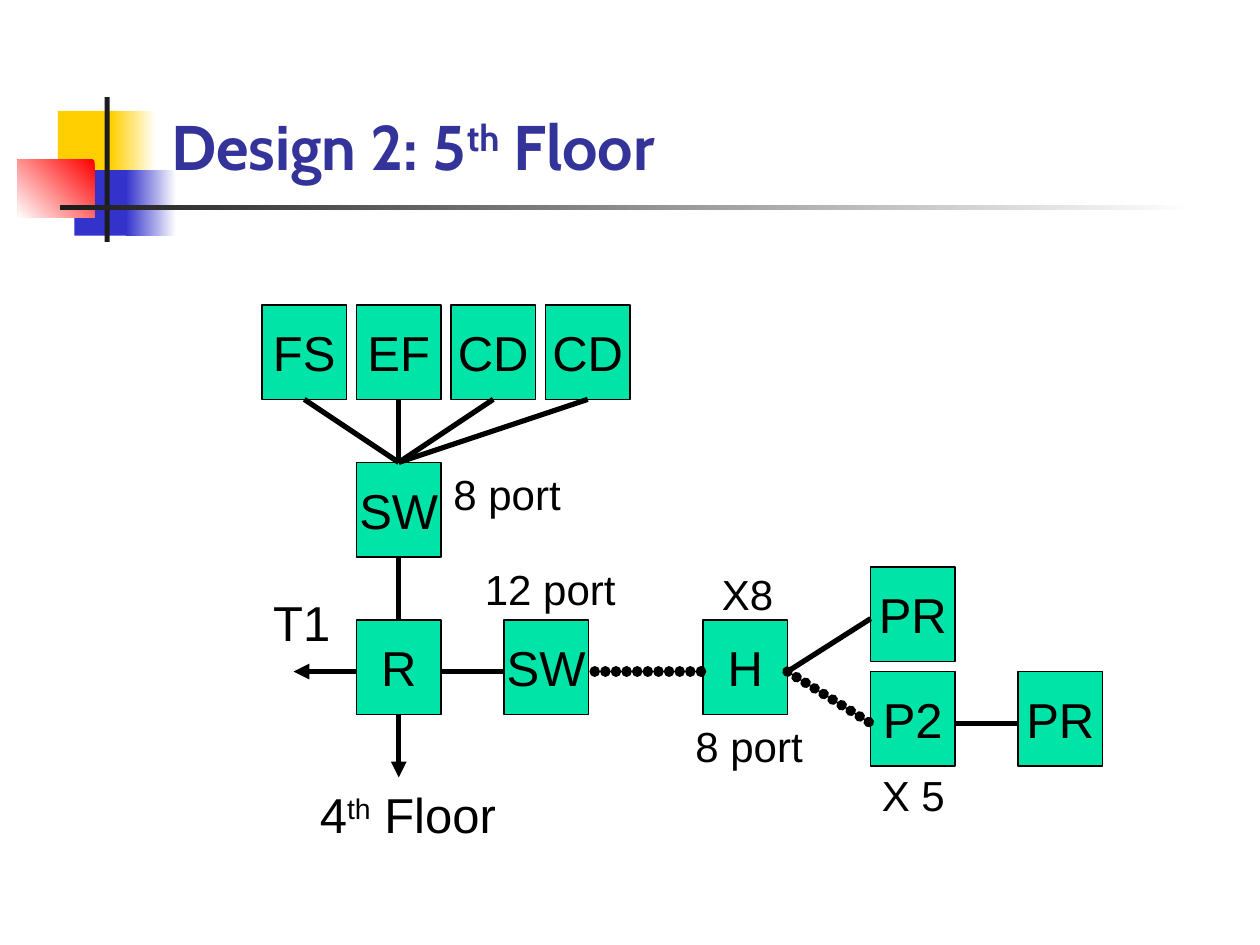
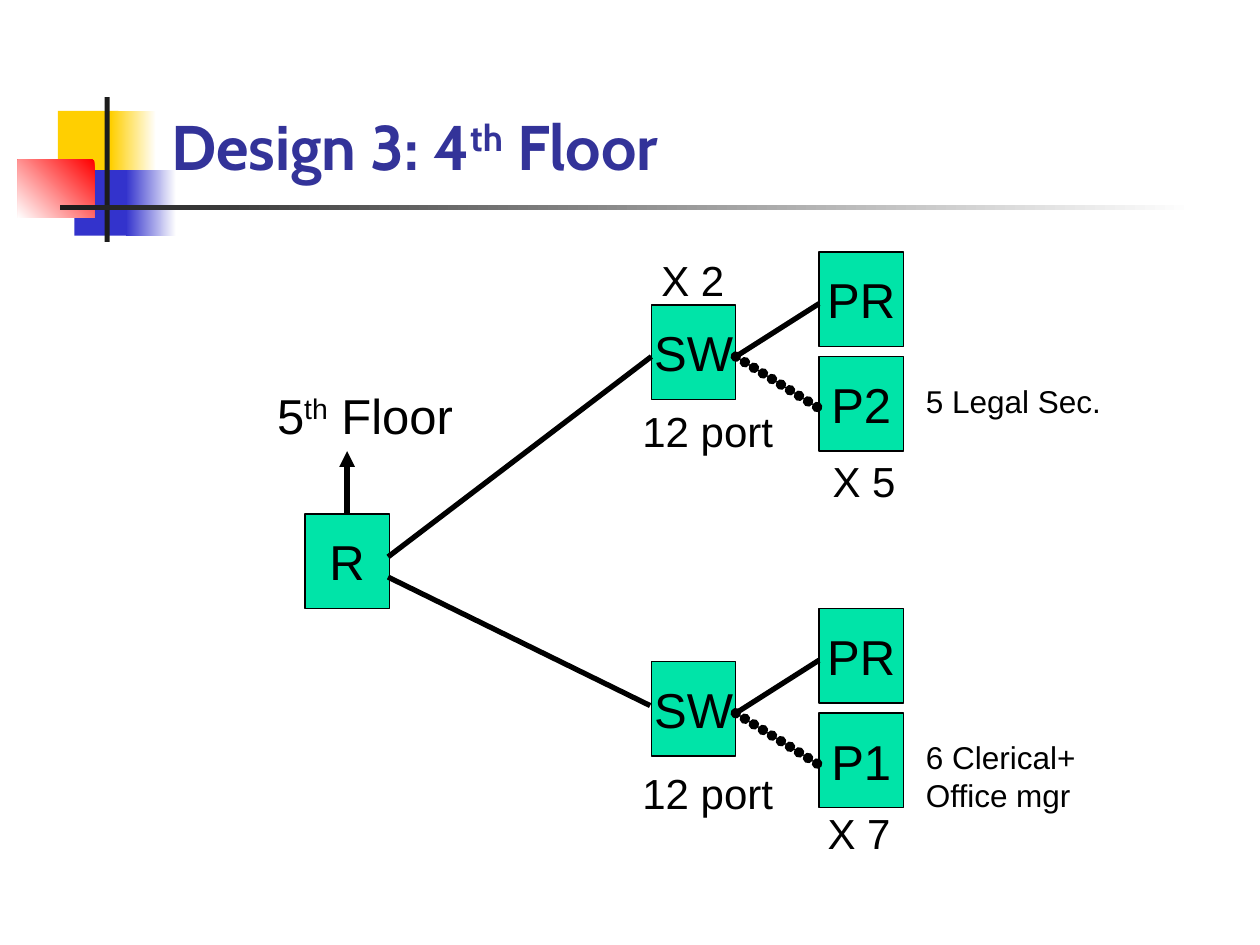
import pptx
import pptx.dml.color
import pptx.enum.shapes
import pptx.enum.text
import pptx.oxml.ns
import pptx.util
from lxml import etree

Inches = pptx.util.Inches
Pt = pptx.util.Pt

FONT = "Arial"
TITLE_FONT = "Cabin"
BLACK, WHITE, GREEN, TITLE_BLUE = "000000", "FFFFFF", "00E4A8", "333399"
YELLOW, BLUE, RED, DARK = "FFCF01", "3333CC", "FF0000", "1C1C1C"

DECORATION = [
    (0.46, 0.88, 0.48, 0.52, [YELLOW], 0),
    (0.88, 0.88, 0.36, 0.52, [WHITE, YELLOW], 180),
    (0.59, 1.35, 0.46, 0.52, [BLUE], 0),
    (1, 1.35, 0.4, 0.52, [WHITE, BLUE], 180),
    (0.14, 1.27, 0.61, 0.46, [RED, WHITE], 225),
    (0.83, 0.77, 0.04, 1.15, [DARK], 0),
    (0.48, 1.63, 9, 0.04, [WHITE, DARK], 180),
]

NODE_WIDTH, NODE_HEIGHT = 0.67, 0.75
SIDE_PORT = 0.41
SERVER_STEP = 0.75
BRANCH_RIGHT, PRINTER_RISE, PC_DROP = 1.33, 0.42, 0.41
ARROW_LENGTH = 0.5
DIRECTIONS = {"left": (-1, 0), "top": (0, -1), "bottom": (0, 1)}

FLOORS = [
    {
        "title": ["Design 2: 5", "th", " Floor"],
        "servers": (["FS", "EF", "CD", "CD"], 2.08, 2.42, "server switch"),
        "nodes": {
            "router": ("R", 2.83, 4.92),
            "server switch": ("SW", 2.83, 3.67),
            "floor switch": ("SW", 4, 4.92),
            "far printer": ("PR", 8.08, 5.33),
        },
        "branches": [("hub", "H", 5.58, 4.92, "P2")],
        "arrows": ["bottom", "left"],
        "links": [
            (("server switch", "bottom"), ("router", "top"), "solid"),
            (("floor switch", "left"), ("router", "right"), "solid"),
            ((4.72, 5.33), ("hub", "left"), "dotted"),
            (("far printer", "left"), ("hub PC", "right"), "solid"),
        ],
        "labels": [
            ([["4", "th", " Floor"]], 28, 2.44, 6.18, 1.65),
            ([["T1"]], 28, 2.07, 4.65, 0.65),
            ([["X 5"]], 24, 6.9, 6.06, 0.7),
            ([["8 port"]], 24, 5.42, 5.67, 1.05),
            ([["12 port"]], 24, 3.75, 4.42, 1.24),
            ([["8 port"]], 24, 3.5, 3.67, 1.05),
            ([["X8"]], 24, 5.63, 4.46, 0.61),
        ],
    },
    {
        "title": ["Design 3: 4", "th", " Floor"],
        "servers": ([], 0, 0, None),
        "nodes": {"router": ("R", 2.42, 4.08)},
        "branches": [
            ("legal", "SW", 5.17, 2.42, "P2"),
            ("clerical", "SW", 5.17, 5.25, "P1"),
        ],
        "arrows": ["top"],
        "links": [
            ((3.08, 4.42), ("legal", "left"), "solid"),
            ((3.08, 4.58), (5.16, 5.6), "solid"),
        ],
        "labels": [
            ([["5", "th", " Floor"]], 28, 2.1, 3.01, 1.65),
            ([["6 Clerical+"], ["Office mgr"]], 18, 7.25, 5.81, 1.39),
            ([["5 Legal Sec."]], 18, 7.25, 2.98, 1.59),
            ([["12 port"]], 24, 5, 6.04, 1.24),
            ([["12 port"]], 24, 5, 3.17, 1.24),
            ([["X 2"]], 24, 5.15, 1.97, 0.7),
            ([["X 5"]], 24, 6.51, 3.57, 0.7),
            ([["X 7"]], 24, 6.47, 6.36, 0.7),
        ],
    },
]


def color(value):
    return pptx.dml.color.RGBColor.from_string(value)


def add_runs(paragraph, texts, size, font=FONT, text_color=BLACK, bold=False):
    for text in texts:
        run = paragraph.add_run()
        run.text = text
        run.font.size = Pt(size)
        run.font.name = font
        run.font.bold = bold
        run.font.color.rgb = color(text_color)
        if text == "th":
            run.font._element.set("baseline", "30000")


def add_rectangle(slide, left, top, width, height, fills, angle=0):
    shape = slide.shapes.add_shape(
        pptx.enum.shapes.MSO_SHAPE.RECTANGLE,
        Inches(left), Inches(top), Inches(width), Inches(height))
    shape.shadow.inherit = False
    shape.line.fill.background()
    if len(fills) == 1:
        shape.fill.solid()
        shape.fill.fore_color.rgb = color(fills[0])
    else:
        shape.fill.gradient()
        shape.fill.gradient_angle = angle
        for stop, value in zip(shape.fill.gradient_stops, fills):
            stop.color.rgb = color(value)
    return shape


def add_node(slide, label, left, top):
    shape = add_rectangle(slide, left, top, NODE_WIDTH, NODE_HEIGHT, [GREEN])
    shape.line.color.rgb = color(BLACK)
    shape.line.width = Pt(0.75)
    frame = shape.text_frame
    frame.word_wrap = False
    frame.vertical_anchor = pptx.enum.text.MSO_ANCHOR.MIDDLE
    frame.paragraphs[0].alignment = pptx.enum.text.PP_ALIGN.CENTER
    add_runs(frame.paragraphs[0], [label], 28)


def add_label(slide, paragraphs, size, left, top, width):
    height = len(paragraphs) * size * 1.2 / 72 + 0.1
    box = slide.shapes.add_textbox(
        Inches(left), Inches(top), Inches(width), Inches(height))
    frame = box.text_frame
    frame.word_wrap = False
    for index, texts in enumerate(paragraphs):
        paragraph = frame.add_paragraph() if index else frame.paragraphs[0]
        add_runs(paragraph, texts, size)


def add_title(slide, texts):
    box = slide.shapes.add_textbox(
        Inches(1.26), Inches(0.91), Inches(8.52), Inches(0.59))
    frame = box.text_frame
    frame.word_wrap = True
    frame.vertical_anchor = pptx.enum.text.MSO_ANCHOR.BOTTOM
    add_runs(frame.paragraphs[0], texts, 36, TITLE_FONT, TITLE_BLUE, True)


def add_link(slide, start, end, style):
    connector = slide.shapes.add_connector(
        pptx.enum.shapes.MSO_CONNECTOR.STRAIGHT,
        *[Inches(value) for value in start + end])
    connector.line.color.rgb = color(BLACK)
    connector.line.width = Pt(6 if style == "dotted" else 3)
    line = connector.line._get_or_add_ln()
    if style == "dotted":
        line.set("cap", "rnd")
        dashes = etree.SubElement(line, pptx.oxml.ns.qn("a:custDash"))
        dot = etree.SubElement(dashes, pptx.oxml.ns.qn("a:ds"))
        dot.set("d", "100000")
        dot.set("sp", "1000")
    if style == "arrow":
        head = etree.SubElement(line, pptx.oxml.ns.qn("a:tailEnd"))
        head.set("type", "triangle")
    etree.SubElement(line.getparent(), pptx.oxml.ns.qn("a:effectLst"))


def find_point(nodes, end):
    if end[0] not in nodes:
        return end
    name, side = end
    label, left, top = nodes[name]
    return {
        "left": (left, top + SIDE_PORT),
        "right": (left + NODE_WIDTH, top + SIDE_PORT),
        "top": (left + NODE_WIDTH / 2, top),
        "bottom": (left + NODE_WIDTH / 2, top + NODE_HEIGHT),
    }[side]


def plan_network(floor):
    nodes = dict(floor["nodes"])
    links = list(floor["links"])
    for name, label, left, top, pc in floor["branches"]:
        printer_name, pc_name = name + " printer", name + " PC"
        nodes[name] = (label, left, top)
        nodes[printer_name] = ("PR", left + BRANCH_RIGHT, top - PRINTER_RISE)
        nodes[pc_name] = (pc, left + BRANCH_RIGHT, top + PC_DROP)
        links.append(((name, "right"), (pc_name, "left"), "dotted"))
        links.append(((name, "right"), (printer_name, "left"), "solid"))
    servers, left, top, switch = floor["servers"]
    for index, label in enumerate(servers):
        name = f"server {index}"
        nodes[name] = (label, left + index * SERVER_STEP, top)
        links.append(((switch, "top"), (name, "bottom"), "solid"))
    for side in floor["arrows"]:
        x, y = find_point(nodes, ("router", side))
        across, down = DIRECTIONS[side]
        tip = (x + across * ARROW_LENGTH, y + down * ARROW_LENGTH)
        links.append(((x, y), tip, "arrow"))
    return nodes, links


def build_slide(presentation, floor):
    slide = presentation.slides.add_slide(presentation.slide_layouts[6])
    for decoration in DECORATION:
        add_rectangle(slide, *decoration)
    add_title(slide, floor["title"])
    nodes, links = plan_network(floor)
    for node in nodes.values():
        add_node(slide, *node)
    for start, end, style in links:
        add_link(slide, find_point(nodes, start), find_point(nodes, end), style)
    for label in floor["labels"]:
        add_label(slide, *label)


def main():
    presentation = pptx.Presentation()
    presentation.slide_width = Inches(10)
    presentation.slide_height = Inches(7.5)
    for floor in FLOORS:
        build_slide(presentation, floor)
    presentation.save("out.pptx")


if __name__ == "__main__":
    main()
